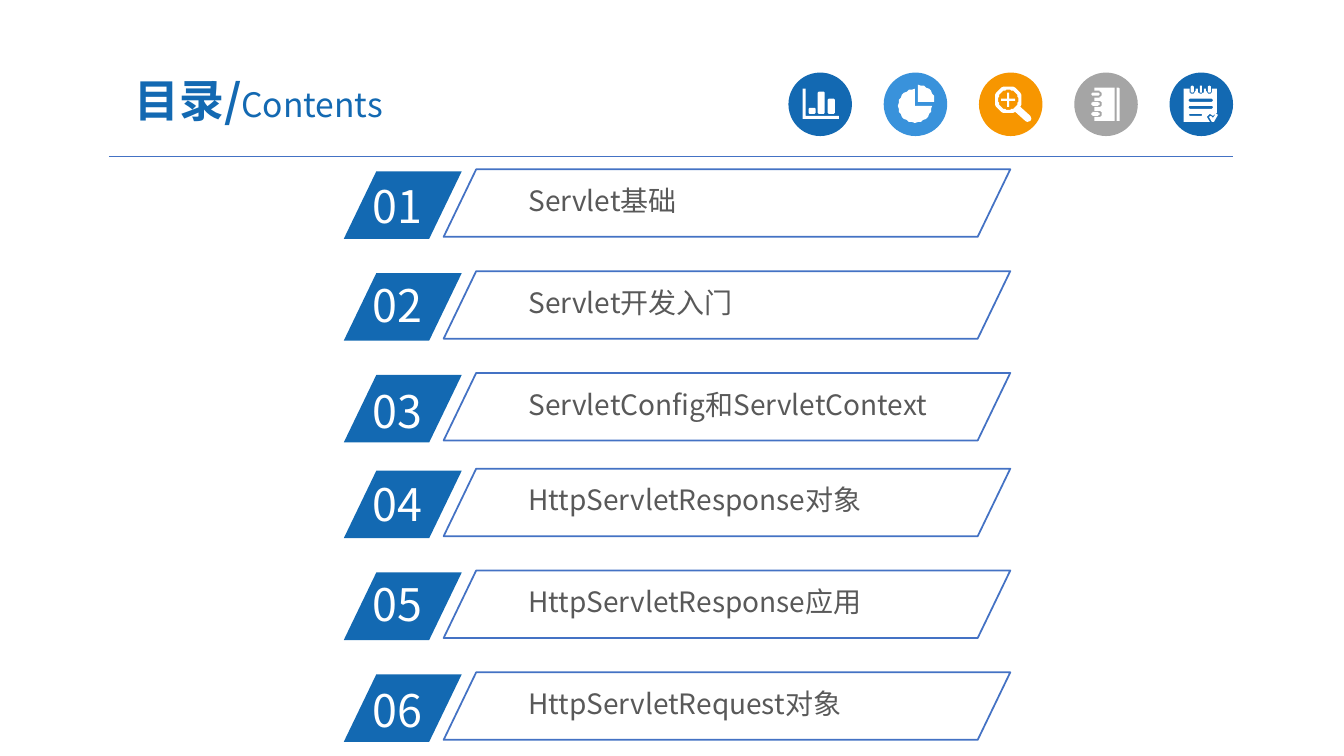
from math import cos, radians, sin

from lxml.etree import SubElement
from pptx import Presentation
from pptx.dml.color import RGBColor
from pptx.enum.shapes import MSO_CONNECTOR as CONN, MSO_SHAPE as SHAPE
from pptx.enum.text import MSO_ANCHOR as ANCHOR, PP_ALIGN as ALIGN
from pptx.oxml.ns import qn
from pptx.util import Inches, Pt

COLORS = {
    "blue": "1369B2", "sky": "3992DB", "orange": "F79600", "silver": "A5A5A5",
    "outline": "4472C4", "text": "595959", "white": "FFFFFF",
}
FONT = "Noto Sans CJK SC"
TOPICS = ["Servlet基础", "Servlet开发入门", "ServletConfig和ServletContext",
          "HttpServletResponse对象", "HttpServletResponse应用", "HttpServletRequest对象"]
NUMBER_SHIFTS = [0.02, 0, 0.04, 0.01, -0.01, 0.03]
SLANT = 0.482


def rgb(name):
    return RGBColor.from_string(COLORS[name])


def style_run(r, size, color, bold=False):
    r.font.size, r.font.bold, r.font.name = Pt(size), bold, FONT
    r.font.color.rgb = rgb(color)
    SubElement(r._r.get_or_add_rPr(), qn("a:ea"), typeface=FONT)


def add_text(s, x, y, w, h, runs, inset=(0.1, 0.05), wrap=True):
    """Add a one-paragraph text box; runs are (text, size, color, bold)."""
    tf = s.shapes.add_textbox(Inches(x), Inches(y), Inches(w), Inches(h)).text_frame
    tf.word_wrap = wrap
    tf.margin_left = tf.margin_right = Inches(inset[0])
    tf.margin_top = tf.margin_bottom = Inches(inset[1])
    for text, *look in runs:
        r = tf.paragraphs[0].add_run()
        r.text = text
        style_run(r, *look)
    return tf


def paint(sp, fill=None, line=None):
    sp.shadow.inherit = False
    if fill:
        sp.fill.solid()
        sp.fill.fore_color.rgb = rgb(fill)
    else:
        sp.fill.background()
    if line:
        sp.line.color.rgb, sp.line.width = rgb(line), Pt(1.25)
    else:
        sp.line.fill.background()


# Icon outlines are in hundredths of an inch from the badge's top left corner.
def arc(cx, cy, radius, start=0, end=360, step=10):
    return [(cx + radius * cos(radians(a)), cy + radius * sin(radians(a)))
            for a in range(start, end + 1, step)]


def pill(x, y, w, h, radius=1.5):
    corners = [(x + w - radius, y + h - radius), (x + radius, y + h - radius),
               (x + radius, y + radius), (x + w - radius, y + radius)]
    return [pt for i, (cx, cy) in enumerate(corners)
            for pt in arc(cx, cy, radius, 90 * i, 90 * i + 90, 30)]


def bar_chart_icon():
    axes = [(14, 16), (17, 16), (17, 43), (50, 43), (50, 46), (14, 46)]
    return [axes, pill(20, 35, 7, 6), pill(29, 19, 7, 22), pill(39, 26, 7, 15)]


def pie_icon():
    return [[(34, 29)] + arc(34, 29, 16.5, 270, 360),
            [(31, 33)] + arc(31, 33, 16.5, 0, 270)]


def magnifier_icon():
    handle = [(51, 43), (52, 46), (51, 48.5), (48, 49), (46, 48)]
    plus = [(-7, -1.5), (-1.5, -1.5), (-1.5, -7), (1.5, -7), (1.5, -1.5), (7, -1.5),
            (7, 1.5), (1.5, 1.5), (1.5, 7), (-1.5, 7), (-1.5, 1.5), (-7, 1.5)]
    return [arc(29, 27, 13.5, 60, 390) + handle, arc(29, 27, 10),
            [(29 + x, 27 + y) for x, y in plus]]


def notebook_icon():
    rings = (21.5, 31, 41)
    cover = [(20, 48), (40, 48), (40, 15), (20, 15)]
    for y in rings:
        cover += [(20, y - 3.3)] + arc(23.7, y, 3.3, -90, 90) + [(20, y + 3.3)]
    return [cover, pill(42, 15, 3, 33, 1)] + [pill(17, y - 1.7, 8, 3.4) for y in rings]


def checklist_icon():
    rings = (22.5, 31, 39.5)
    page = [(14, 49), (14, 16)]
    for x in rings:
        page += [(x - 3, 16)] + arc(x, 18, 3, 0, 180)[::-1] + [(x + 3, 16)]
    page += [(47, 16), (47, 40), (43, 43), (40, 41), (37, 44), (40, 49)]
    check = [(39, 44), (41, 43), (43, 45), (46.5, 41), (48.5, 42.5), (44, 49), (42, 49)]
    lines = [pill(19, 26, 24, 3), pill(19, 33, 24, 3), pill(19, 41, 13, 2, 1)]
    return [page, check] + lines + [pill(x - 1.5, 13, 3, 7) for x in rings]


def add_icon(s, x, y, size, color, contours):
    badge = s.shapes.add_shape(SHAPE.OVAL, Inches(x), Inches(y), Inches(size), Inches(size))
    paint(badge, color)
    fb = s.shapes.build_freeform(*contours[0][0], scale=Inches(0.01))
    for i, contour in enumerate(contours):
        if i:
            fb.move_to(*contour[0])
        fb.add_line_segments(contour[1:], close=True)
    paint(fb.convert_to_shape(Inches(x), Inches(y)), "white")


def add_header(s, x, y, w):
    """Place the title, the icon row and the rule under them."""
    rule = s.shapes.add_connector(CONN.STRAIGHT, Inches(x), Inches(y + 0.92),
                                  Inches(x + w), Inches(y + 0.92))
    rule.line.color.rgb, rule.line.width = rgb("outline"), Pt(0.5)
    SubElement(rule._element.spPr, qn("a:effectLst"))
    icons = [("blue", bar_chart_icon), ("sky", pie_icon), ("orange", magnifier_icon),
             ("silver", notebook_icon), ("blue", checklist_icon)]
    for i, (color, icon) in enumerate(icons):
        add_icon(s, x + 6.74 + 0.945 * i, y + 0.09, 0.63, color, icon())
    tf = add_text(s, x - 0.16, y, 3.29, 0.72,
                  [("目录/", 32, "blue", True), ("Contents", 24, "blue")], (0.13, 0.07))
    tf.vertical_anchor = ANCHOR.MIDDLE
    tf.paragraphs[0].alignment = ALIGN.CENTER


def add_slanted(s, x, y, w, h, **look):
    sp = s.shapes.add_shape(SHAPE.PARALLELOGRAM, Inches(x), Inches(y), Inches(w), Inches(h))
    sp.adjustments[0] = SLANT
    paint(sp, **look)


def add_topic(s, x, y, number, topic, shift):
    add_slanted(s, x, y + 0.02, 1.17, 0.67, fill="blue")
    add_text(s, x + 0.19, y + 0.02 + shift, 1.12, 0.64, [(f"{number:02}", 32, "white")])
    add_text(s, x + 1.76, y + 0.1, 4.4, 0.41, [(topic, 20, "text")], (0.07, 0.04))
    add_slanted(s, x + 0.99, y, 5.62, 0.67, line="outline")


def add_topics(s, x, y):
    """Stack the topics in two blocks of three."""
    for i, (topic, shift) in enumerate(zip(TOPICS, NUMBER_SHIFTS)):
        block, row = divmod(i, 3)
        add_topic(s, x, y + 2.97 * block + 1.01 * row, i + 1, topic, shift)


def main():
    prs = Presentation()
    prs.slide_width, prs.slide_height = Inches(13.33), Inches(7.5)
    s = prs.slides.add_slide(prs.slide_layouts[6])
    add_header(s, 1.08, 0.63, 11.15)
    add_topics(s, 3.41, 1.68)
    prs.save("out.pptx")


if __name__ == "__main__":
    main()
